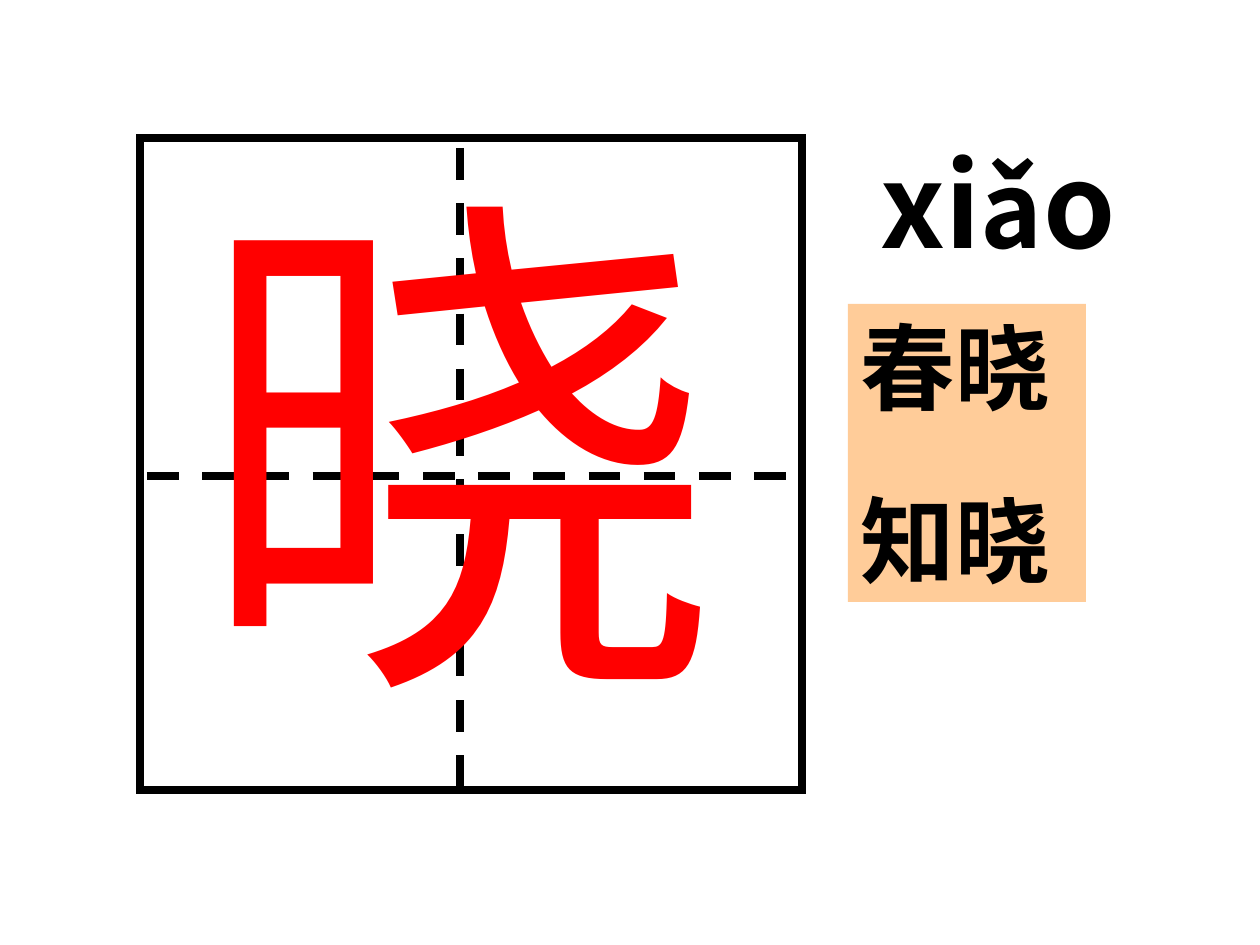
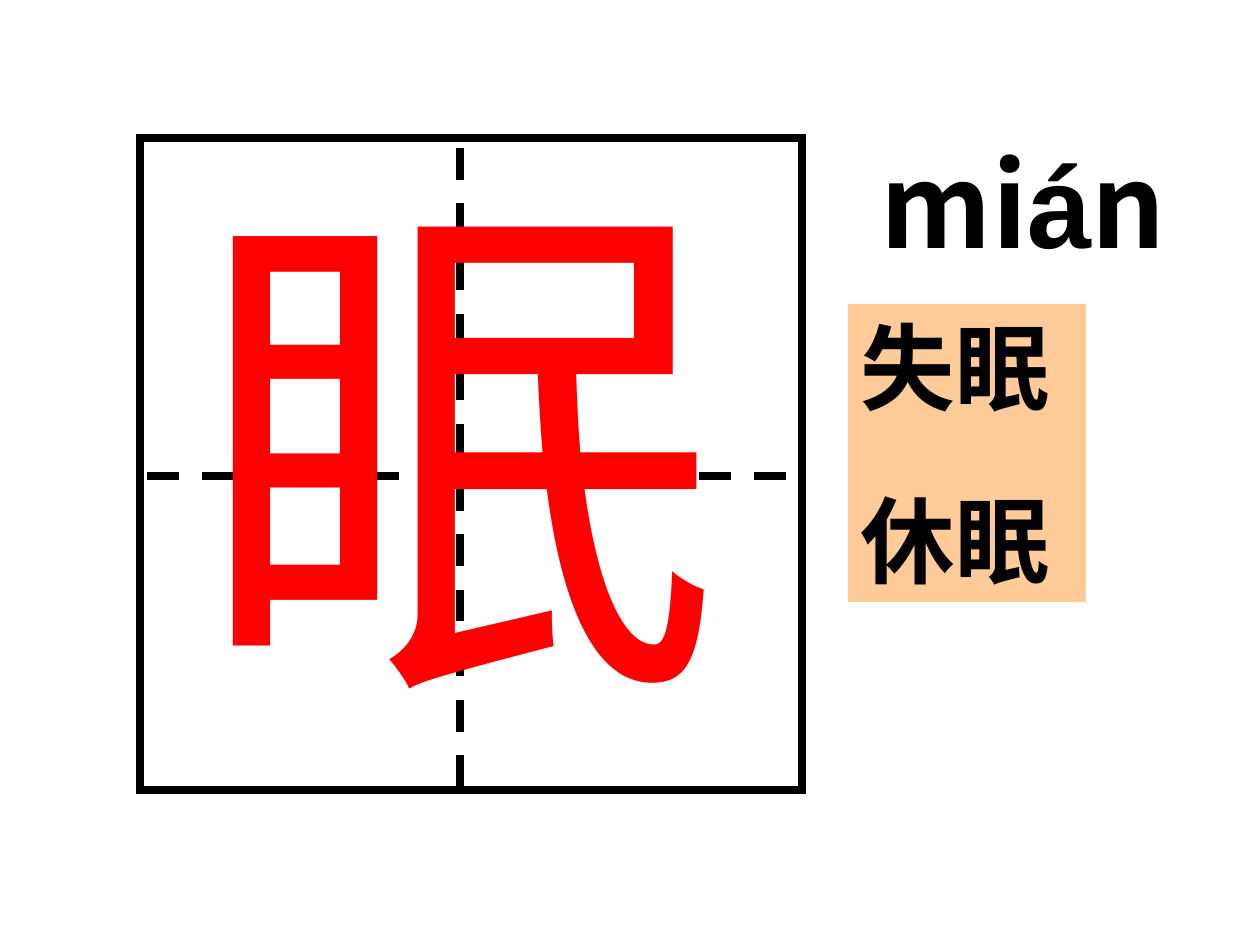
from dataclasses import dataclass

from lxml.etree import SubElement
from pptx import Presentation
from pptx.dml.color import RGBColor
from pptx.enum.dml import MSO_LINE
from pptx.enum.shapes import MSO_CONNECTOR, MSO_SHAPE
from pptx.enum.text import MSO_ANCHOR, PP_ALIGN
from pptx.oxml.ns import qn
from pptx.util import Emu, Pt

PX_PER_INCH = 126


@dataclass(frozen=True)
class Theme:
    ink: RGBColor = RGBColor(0x00, 0x00, 0x00)
    character: RGBColor = RGBColor(0xFF, 0x00, 0x00)
    word_panel: RGBColor = RGBColor(0xFF, 0xCC, 0x99)
    sans: str = "Arial"
    serif: str = "Times New Roman"
    chinese: str = "Noto Sans CJK SC"
    character_size: int = 300
    syllable_size: int = 66
    small_vowel_size: int = 60
    word_size: int = 54
    grid_line: float = 4.5
    line_height: float = 1.2
    word_gap: float = 33.8


THEME = Theme()


@dataclass(frozen=True)
class Box:
    left: int
    top: int
    width: int
    height: int

    def emu(self):
        return [px(n) for n in (self.left, self.top, self.width, self.height)]


@dataclass(frozen=True)
class Piece:
    """A stretch of text in one size and Latin font."""
    text: str
    size: int = THEME.syllable_size
    font: str = THEME.chinese


GRID = Box(140, 138, 662, 652)
CHARACTER = Box(183, 115, 566, 642)
SYLLABLE = Box(868, 125, 318, 157)
WORDS = Box(848, 304, 238, 298)

LESSONS = [
    {
        "character": "晓",
        "syllable": [Piece("xi"), Piece("ǎ", THEME.small_vowel_size), Piece("o")],
        "words": ["春晓", "知晓"],
    },
    {
        "character": "眠",
        "syllable": [Piece("mi"), Piece("á", font=THEME.sans), Piece("n")],
        "words": ["失眠", "休眠"],
    },
]


def px(length):
    return Emu(round(length * 914400 / PX_PER_INCH))


def write_lines(frame, lines, baseline, color, bold=True, gap=0):
    """Fill a frame with lines of pieces; the first sits on baseline, one em down."""
    size = max(piece.size for piece in lines[0])
    settings = {
        "word_wrap": False,
        "vertical_anchor": MSO_ANCHOR.TOP,
        "margin_left": px(13),
        "margin_right": px(13),
        "margin_top": px(baseline - size * PX_PER_INCH / 72),
        "margin_bottom": px(6),
    }
    for name, value in settings.items():
        setattr(frame, name, value)

    for index, pieces in enumerate(lines):
        paragraph = frame.add_paragraph() if index else frame.paragraphs[0]
        paragraph.alignment = PP_ALIGN.LEFT
        paragraph.line_spacing = Pt(size * THEME.line_height)
        paragraph.space_before = Pt(gap if index else 0)
        for piece in pieces:
            run = paragraph.add_run()
            run.text = piece.text
            run.font.color.rgb = color
            values = {"name": piece.font, "bold": bold, "size": Pt(piece.size)}
            for name, value in values.items():
                setattr(run.font, name, value)
            east_asian = SubElement(run.font._element, qn("a:ea"))
            east_asian.set("typeface", THEME.chinese)


def add_guide(shapes, start, end):
    guide = shapes.add_connector(MSO_CONNECTOR.STRAIGHT, *map(px, start + end))
    guide.line.color.rgb = THEME.ink
    guide.line.width = Pt(THEME.grid_line)
    guide.line.dash_style = MSO_LINE.DASH
    SubElement(guide._element.spPr, qn("a:effectLst"))


def add_writing_grid(slide, box):
    """Square frame with dashed guides, which run slightly past its far edges."""
    shapes = slide.shapes.add_group_shape().shapes
    border = shapes.add_shape(MSO_SHAPE.RECTANGLE, *box.emu())
    border.shadow.inherit = False
    border.fill.background()
    border.line.color.rgb = THEME.ink
    border.line.width = Pt(THEME.grid_line)
    corner = SubElement(border._element.spPr.find(qn("a:ln")), qn("a:miter"))
    corner.set("lim", "800000")

    middle_x, middle_y = box.left + 320, box.top + 338
    add_guide(shapes, (box.left + 7, middle_y), (box.left + box.width + 7, middle_y))
    add_guide(shapes, (middle_x, box.top + 10), (middle_x, box.top + box.height + 10))


def add_character(slide, box, character):
    frame = slide.shapes.add_textbox(*box.emu()).text_frame
    piece = Piece(character, THEME.character_size, THEME.serif)
    write_lines(frame, [[piece]], 531, THEME.character, bold=False)


def add_syllable(slide, box, pieces):
    frame = slide.shapes.add_textbox(*box.emu()).text_frame
    write_lines(frame, [pieces], 124, THEME.ink)


def add_words(slide, box, words):
    panel = slide.shapes.add_shape(MSO_SHAPE.RECTANGLE, *box.emu())
    panel.shadow.inherit = False
    panel.fill.solid()
    panel.fill.fore_color.rgb = THEME.word_panel
    panel.line.fill.background()
    lines = [[Piece(word, THEME.word_size, THEME.sans)] for word in words]
    write_lines(panel.text_frame, lines, 100, THEME.ink, gap=THEME.word_gap)


def add_lesson(deck, lesson):
    slide = deck.slides.add_slide(deck.slide_layouts[6])
    add_writing_grid(slide, GRID)
    add_character(slide, CHARACTER, lesson["character"])
    add_syllable(slide, SYLLABLE, lesson["syllable"])
    add_words(slide, WORDS, lesson["words"])


def main():
    deck = Presentation()
    deck.slide_width, deck.slide_height = px(1260), px(945)
    for lesson in LESSONS:
        add_lesson(deck, lesson)
    deck.save("out.pptx")


if __name__ == "__main__":
    main()
